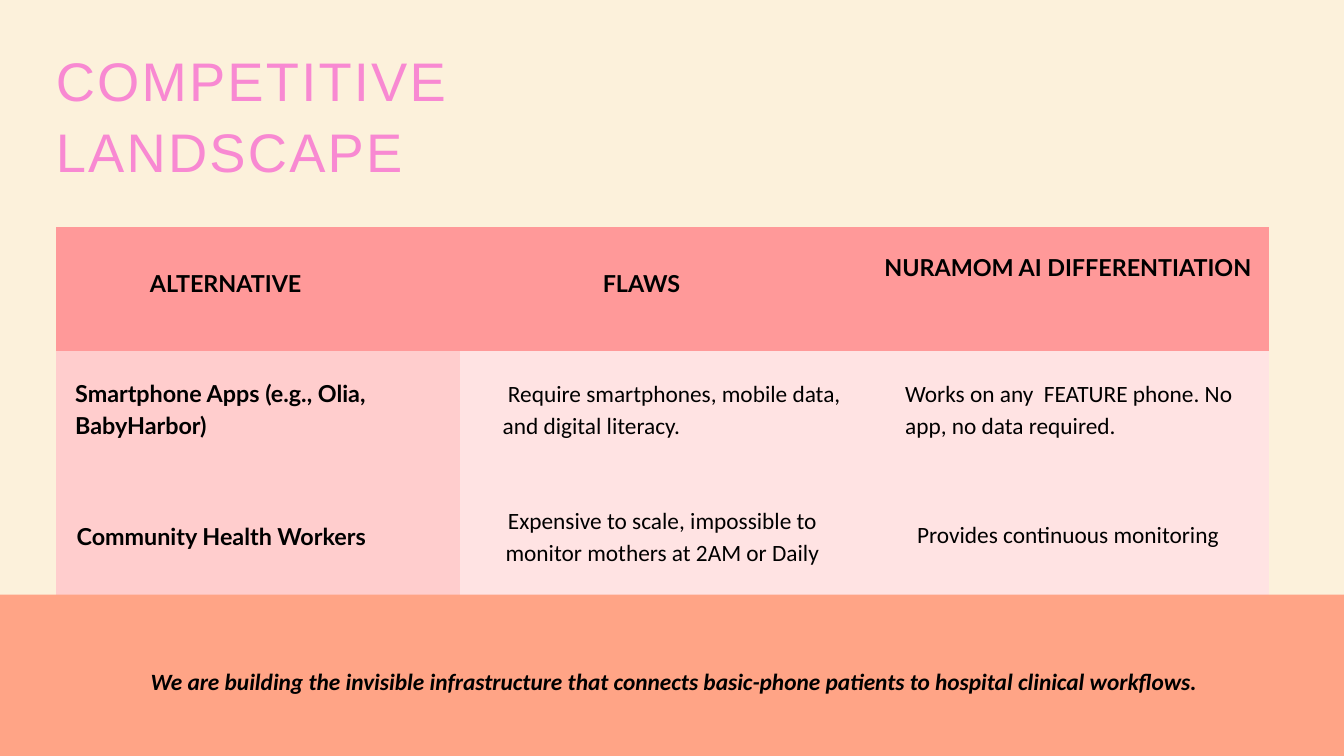
from pptx import Presentation
from pptx.dml.color import RGBColor
from pptx.enum import shapes, text
from pptx.util import Inches, Pt

CREAM = RGBColor(0xFC, 0xF1, 0xDB)
PINK = RGBColor(0xF8, 0x89, 0xD2)
HEADER = RGBColor(0xFF, 0x99, 0x99)
FIRST_COLUMN = RGBColor(0xFF, 0xCD, 0xCD)
BODY = RGBColor(0xFF, 0xE3, 0xE3)
SALMON = RGBColor(0xFF, 0xA4, 0x86)
BLACK = RGBColor(0, 0, 0)

LEFT, CENTER = text.PP_ALIGN.LEFT, text.PP_ALIGN.CENTER
PLAIN_TABLE_STYLE = "{2D5ABB26-0587-4C30-8999-92F81FD0307C}"
ROWS, COLUMNS = 4, 3

# Wording, box (left, top, width, height), alignment
HEADINGS = [
    ("ALTERNATIVE", (2.23, 3.94, 2.81, 0.47), LEFT),
    ("FLAWS", (8.97, 3.94, 5.03, 0.47), LEFT),
    ("NURAMOM AI DIFFERENTIATION", (13.11, 3.7, 5.56, 0.95), CENTER),
    ("Smartphone Apps (e.g., Olia, BabyHarbor)", (1.12, 5.57, 5.03, 0.95), LEFT),
    ("Community Health Workers", (1.14, 7.7, 5.03, 0.47), LEFT),
]
DETAILS = [
    ("Require smartphones, mobile data, and digital literacy.",
     (7.48, 5.57, 5.03, 0.95), LEFT, 0.08),
    ("Works on any  FEATURE phone. No app, no data required.",
     (13.47, 5.57, 5.16, 0.95), LEFT, 0),
    ("Expensive to scale, impossible to monitor mothers at 2AM or Daily",
     (7.29, 7.46, 5.13, 0.95), CENTER, 0),
    ("Provides continuous monitoring", (13.47, 7.68, 4.84, 0.47), CENTER, 0),
]


def write(shape, wording, font_name, size, color, line_spacing, alignment=LEFT,
          bold=False, italic=False):
    """Fill a margin-free text frame with one paragraph and return both parts."""
    frame = shape.text_frame
    frame.word_wrap = True
    frame.auto_size = text.MSO_AUTO_SIZE.NONE
    frame.vertical_anchor = text.MSO_ANCHOR.TOP
    frame.margin_left = frame.margin_right = 0
    frame.margin_top = frame.margin_bottom = 0
    paragraph = frame.paragraphs[0]
    paragraph.alignment = alignment
    paragraph.line_spacing = Pt(line_spacing)
    paragraph.space_before = Pt(0)
    run = paragraph.add_run()
    run.text = wording
    run.font.name = font_name
    run.font.size = Pt(size)
    run.font.bold = bold
    run.font.italic = italic
    run.font.color.rgb = color
    return paragraph, run


def add_label(slide, wording, box, alignment, font_name, bold=False, italic=False,
              first_indent=0):
    shape = slide.shapes.add_textbox(*map(Inches, box))
    paragraph, _ = write(shape, wording, font_name, 25, BLACK, 34.7, alignment,
                         bold, italic)
    if first_indent:
        paragraph._p.get_or_add_pPr().set("indent", str(Inches(first_indent)))


def add_title(slide, box):
    title = slide.shapes.title
    title.left, title.top, title.width, title.height = map(Inches, box)
    _, run = write(title, "COMPETITIVE LANDSCAPE", "Arial", 58.2, PINK, 75.7)
    run._r.get_or_add_rPr().set("spc", "240")  # letter spacing of 2.4 pt


def add_grid(slide, box):
    frame = slide.shapes.add_table(ROWS, COLUMNS, *map(Inches, box))
    table = frame.table
    table._tbl.tblPr[0].text = PLAIN_TABLE_STYLE
    for row_index, row in enumerate(table.rows):
        for column_index, cell in enumerate(row.cells):
            cell.fill.solid()
            if row_index == 0:
                cell.fill.fore_color.rgb = HEADER
            else:
                cell.fill.fore_color.rgb = BODY if column_index else FIRST_COLUMN


def add_band(slide, box):
    band = slide.shapes.add_shape(shapes.MSO_SHAPE.RECTANGLE, *map(Inches, box))
    band.shadow.inherit = False
    band.fill.solid()
    band.fill.fore_color.rgb = SALMON
    band.line.fill.background()


def main():
    presentation = Presentation()
    presentation.slide_width = Inches(20)
    presentation.slide_height = Inches(11.25)
    slide = presentation.slides.add_slide(presentation.slide_layouts[5])
    slide.background.fill.solid()
    slide.background.fill.fore_color.rgb = CREAM

    # Title, table and the band over the table's last row
    add_title(slide, (0.83, 0.62, 10.82, 2.06))
    add_grid(slide, (0.83, 3.38, 18.05, 7.35))
    add_band(slide, (0, 8.85, 20, 2.4))

    # Comparison wording
    for wording, box, alignment in HEADINGS:
        add_label(slide, wording, box, alignment, "Lato", bold=True)
    for wording, box, alignment, indent in DETAILS:
        add_label(slide, wording, box, alignment, "Calibri", first_indent=indent)

    # Closing statement
    add_label(slide, "We are building the invisible infrastructure that connects "
              "basic-phone patients to hospital clinical workflows.",
              (1.18, 9.87, 17.69, 0.47), CENTER, "Calibri", bold=True, italic=True)

    presentation.save("out.pptx")


if __name__ == "__main__":
    main()
